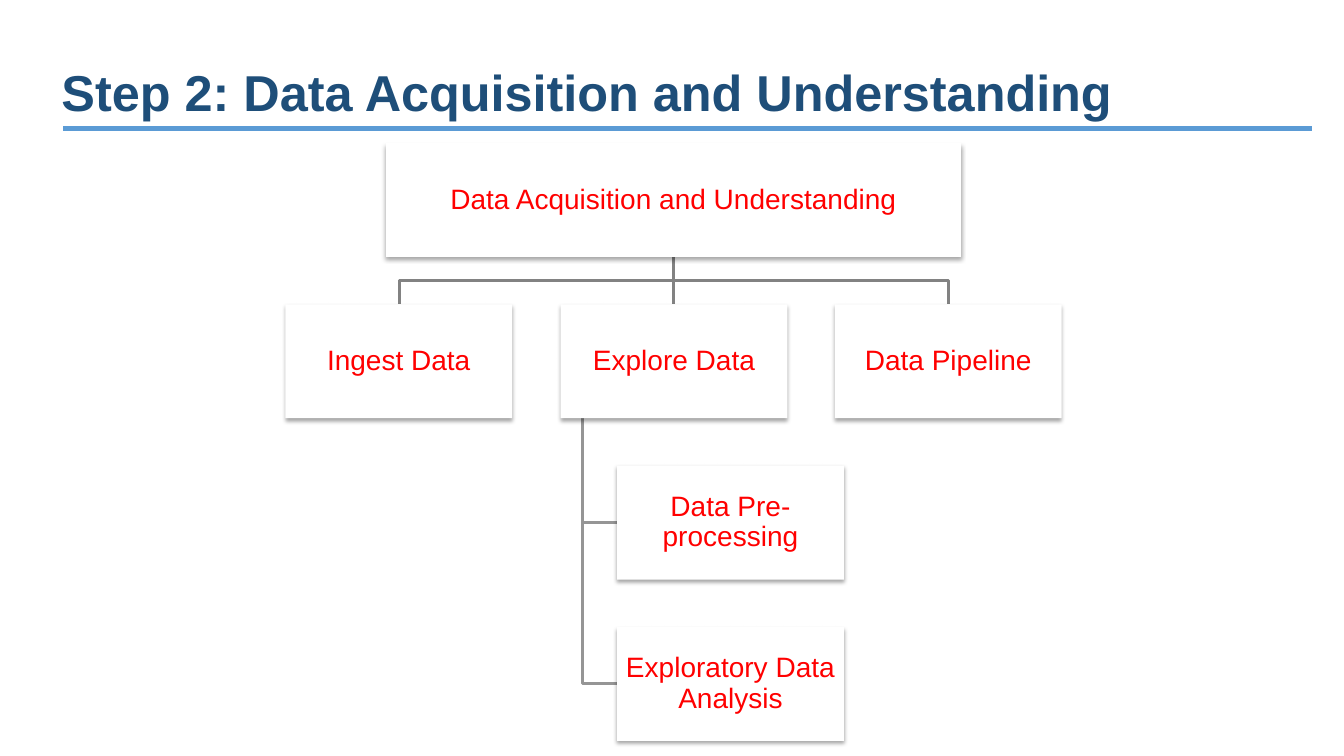
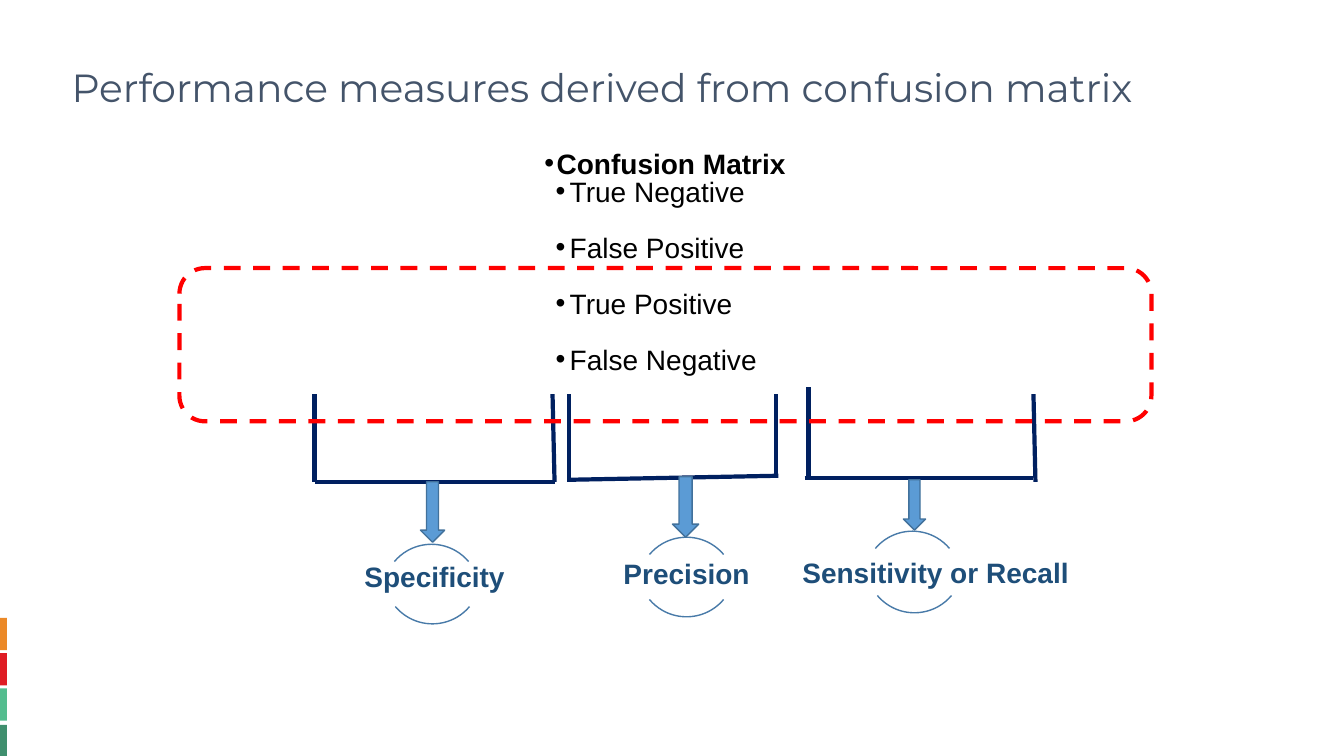
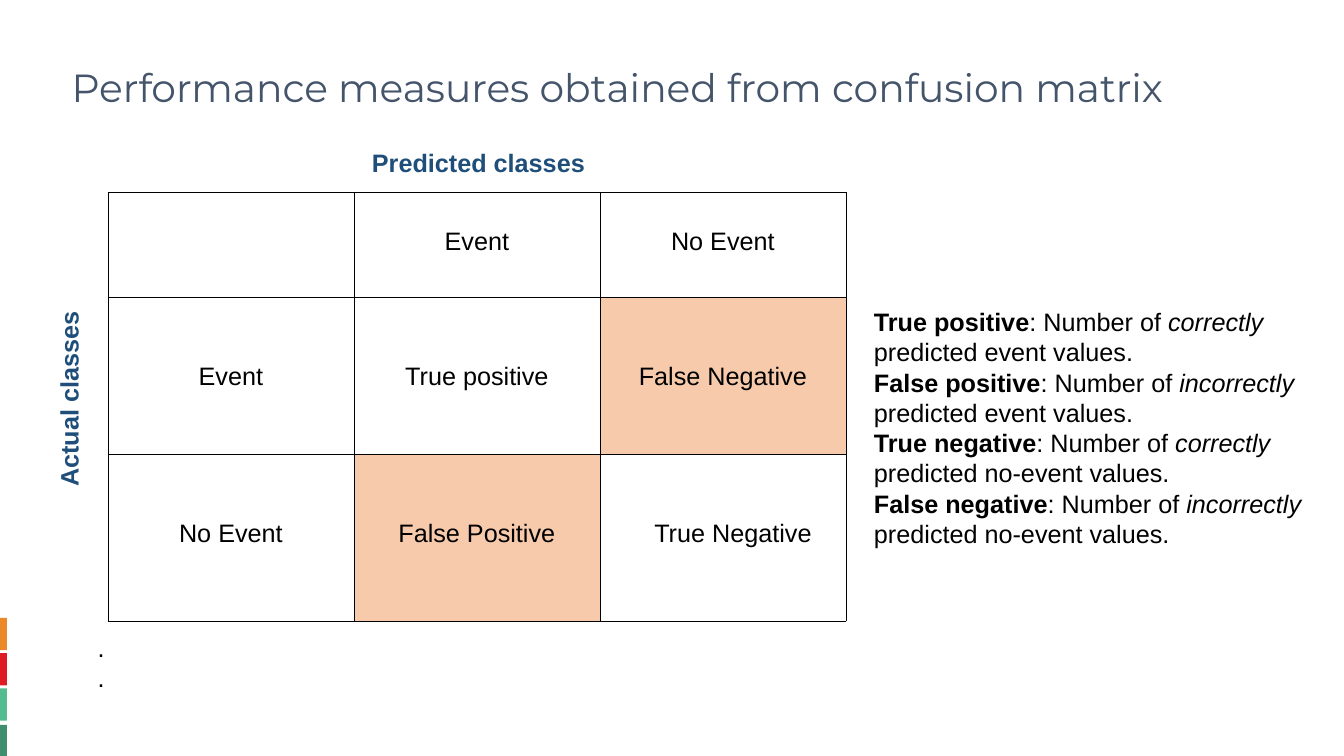
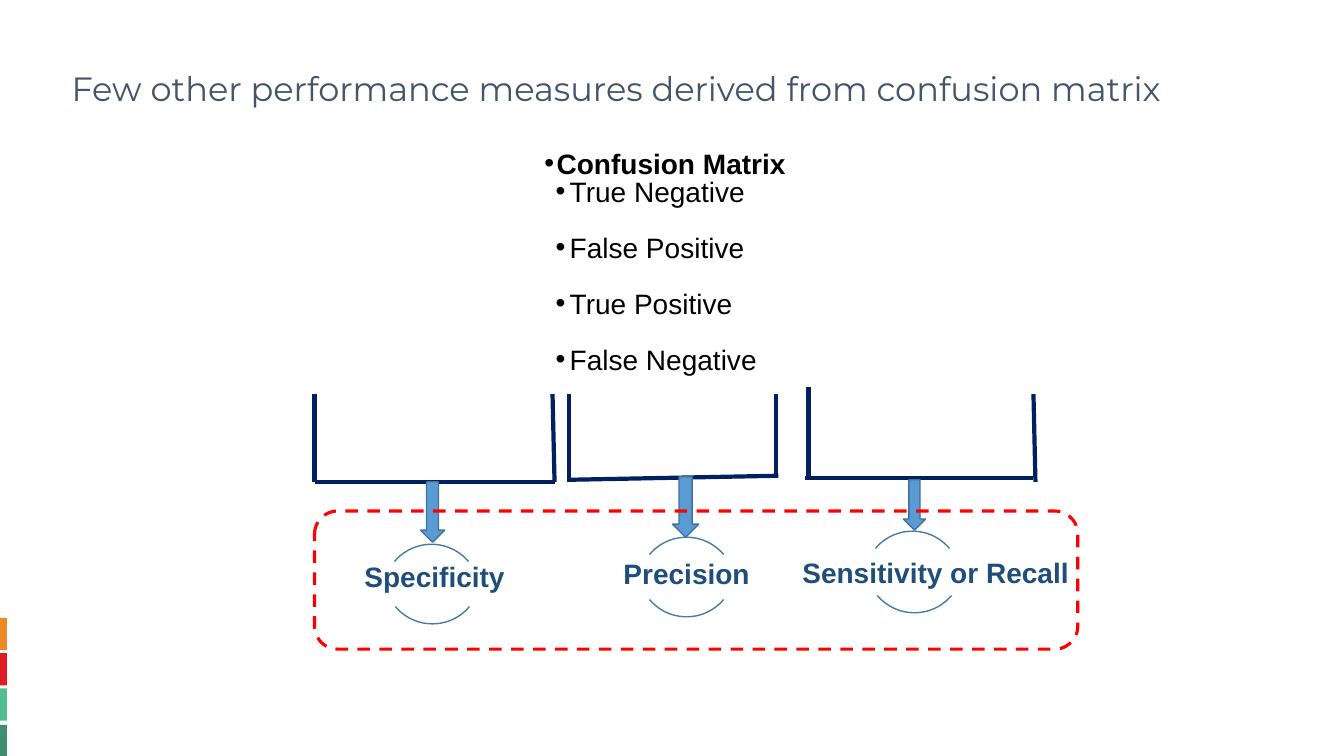
from dataclasses import dataclass
from lxml.etree import SubElement
from pptx import Presentation
from pptx.dml.color import RGBColor as RGB
from pptx.enum.dml import MSO_LINE as Dash
from pptx.enum.shapes import MSO_CONNECTOR as Wire, MSO_SHAPE as Kind
from pptx.enum.text import MSO_ANCHOR as Anchor, MSO_AUTO_SIZE as Fit, PP_ALIGN as Align
from pptx.oxml.ns import qn
from pptx.util import Pt

E = 9144  # EMU in one px, 100 px to the inch


@dataclass(frozen=True)
class Theme:
    head: str = "Montserrat"
    body: str = "Arial"
    black: str = "000000"
    white: str = "FFFFFF"
    red: str = "FF0000"
    navy: str = "1E4E79"
    slate: str = "44546A"
    blue: str = "5B9BD5"
    edge: str = "42719B"
    arc: str = "487AA8"
    ink: str = "002060"
    gray: str = "828282"
    pale: str = "959595"
    peach: str = "F7CAAC"
    bands: tuple = ("EB8928", "DF1C24", "54BD8F", "3F8F6E")
    big: int = 36
    title: int = 28
    small: int = 24
    label: int = 20
    text: int = 18


T = Theme()


def write(host, text, box=None, size=T.text, color=T.black, bold=False, font=T.body,
          align=Align.LEFT, anchor=Anchor.TOP, inset=(10, 5), space=None, levels=None):
    """Fill a shape or cell; a paragraph is a string or a list of (words, style)."""
    frame = host.text_frame
    if box:
        host.left, host.top, host.width, host.height = [v * E for v in box]
        frame.auto_size, frame.word_wrap = Fit.NONE, True
        frame.vertical_anchor = anchor
        frame.margin_left = frame.margin_right = inset[0] * E
        frame.margin_top = frame.margin_bottom = inset[1] * E
    for i, part in enumerate([text] if isinstance(text, str) else text):
        para = frame.paragraphs[0] if i == 0 else frame.add_paragraph()
        para.alignment = align
        if space:
            para.line_spacing = space
        if levels:
            level = para.level = levels[i]
            para.space_before = Pt((0, 2)[i] if i < 2 else 22)
            props = para._p.get_or_add_pPr()
            props.set("marL", str((12, 25)[level] * E))
            props.set("indent", str((-12, -14)[level] * E))
            SubElement(props, qn("a:buFont"), typeface=T.body)
            SubElement(props, qn("a:buChar"), char="•")
        for words, style in [(part, "")] if isinstance(part, str) else part:
            run = para.add_run()
            run.text = words
            face = run.font
            face.name, face.size, face.color.rgb = font, Pt(size), RGB.from_string(color)
            face.bold, face.italic = bold or style == "b", style == "i"


def draw(add, kind=None, box=(), fill=None, line=None, width=1, dash=None, shade=False):
    """Add a shape, connector or freeform and set its fill, line and shadow."""
    shape = add(kind, *[v * E for v in box]) if box else add()
    if fill:
        shape.fill.solid()
        shape.fill.fore_color.rgb = RGB.from_string(fill)
    elif hasattr(shape, "fill"):
        shape.fill.background()
    if line:
        shape.line.color.rgb = RGB.from_string(line)
        shape.line.width = Pt(width)
        if dash:
            shape.line.dash_style = dash
    else:
        shape.line.fill.background()
    effects = SubElement(shape.element.spPr, qn("a:effectLst"))
    if shade:
        glow = SubElement(effects, qn("a:outerShdw"), blurRad="39370", dist="22860",
                          dir="5400000", rotWithShape="0")
        tint = SubElement(glow, qn("a:srgbClr"), val=T.black)
        SubElement(tint, qn("a:alpha"), val="35000")
    return shape


deck = Presentation()
deck.slide_width, deck.slide_height = 1333 * E, 750 * E
LIST, BARE = deck.slide_layouts[1], deck.slide_layouts[5]

# Slide 1: title and rule
slide = deck.slides.add_slide(BARE)
shapes = slide.shapes
draw(shapes.add_shape, Kind.RECTANGLE, (61, 124, 1242, 7), T.blue, T.white, 2)
write(shapes.title, "Step 2: Data Acquisition and Understanding", (51, 56, 1075, 71),
      size=T.big, color=T.navy, bold=True)

# Tree lines
for color, points in (
    (T.gray, [(668, 254), (668, 278), (941, 278), (941, 302)]),
    (T.gray, [(668, 254), (668, 278), (396, 278), (396, 302)]),
    (T.pale, [(578, 414), (578, 678), (612, 678)]),
    (T.pale, [(578, 414), (578, 518), (612, 518)]),
):
    free = shapes.build_freeform(*points[0], scale=E)
    free.add_line_segments(points[1:], close=False)
    draw(free.convert_to_shape, line=color, width=2)
draw(shapes.add_connector, Wire.STRAIGHT, (668, 254, 668, 302), line=T.gray, width=2)

# Tree boxes: left, row, width, label
for left, row, wide, label in (
    (383, 0, 570, "Data Acquisition and Understanding"),
    (283, 1, 225, "Ingest Data"),
    (556, 1, 225, "Explore Data"),
    (828, 1, 225, "Data Pipeline"),
    (612, 2, 225, "Data Pre-processing"),
    (612, 3, 225, "Exploratory Data Analysis"),
):
    box = (left, 142 + 160 * row, wide, 113)
    node = draw(shapes.add_shape, Kind.RECTANGLE, box, T.white, shade=True)
    write(node, label, box, size=T.label, color=T.red, align=Align.CENTER,
          anchor=Anchor.MIDDLE, inset=(1, 1), space=0.9)

# Slides 2 to 4: title and side bands
pages = []
for layout, size, title in (
    (LIST, T.title, "Performance measures derived from confusion matrix"),
    (BARE, T.title, "Performance measures obtained from confusion matrix"),
    (LIST, T.small, "Few other performance measures derived from confusion matrix"),
):
    slide = deck.slides.add_slide(layout)
    pages.append(slide)
    for i, color in enumerate(T.bands):
        draw(slide.shapes.add_shape, Kind.RECTANGLE, (0, 613 + 35 * i + i // 3, 7, 32), color)
    write(slide.shapes.title, title, (61, 17, 1150, 145), size=size, color=T.slate,
          font=T.head, anchor=Anchor.MIDDLE, space=0.9)

# Slides 2 and 4: list, brackets, arrows, measures and dashed frame
terms = [[("Confusion Matrix", "b")], "True Negative", "False Positive",
         "True Positive", "False Negative"]
# label, label box, bracket lines, arrow, upper arc, lower arc
parts = (
    ("Specificity", (335, 543, 192, 61),
     ((312, 391, 312, 478), (548, 391, 550, 478), (312, 478, 550, 478)),
     (417, 478, 24, 60), (380, 540), (381, 523)),
    ("Precision", (585, 540, 192, 61),
     ((564, 391, 564, 478), (770, 391, 770, 474), (564, 476, 772, 472)),
     (667, 473, 26, 60), (633, 533), (633, 516)),
    ("Sensitivity or Recall", (752, 539, 352, 61),
     ((802, 384, 802, 472), (1025, 391, 1027, 478), (798, 474, 1025, 474)),
     (896, 476, 22, 50), (857, 527), (859, 512)),
)
for slide, frame, width in ((pages[0], (178, 266, 964, 152), 3),
                            (pages[2], (312, 507, 757, 137), 2.25)):
    shapes = slide.shapes
    write(slide.placeholders[1], terms, (540, 153, 300, 230), size=T.label,
          inset=(0, 0), space=0.75, levels=(0, 1, 1, 1, 1))
    for label, box, lines, arrow, upper, lower in parts:
        for ends in lines:
            draw(shapes.add_connector, Wire.STRAIGHT, ends, line=T.ink, width=3)
        for spot, start, stop in ((upper, 132, 192), (lower, 24, 84)):
            arc = draw(shapes.add_shape, Kind.ARC, (*spot, 96, 96), line=T.arc)
            arc.adjustments[0], arc.adjustments[1] = start, stop
        write(shapes.add_textbox(0, 0, 0, 0), label, box, size=T.label, color=T.navy,
              bold=True, align=Align.CENTER, anchor=Anchor.MIDDLE, inset=(1, 1), space=0.9)
        draw(shapes.add_shape, Kind.DOWN_ARROW, arrow, T.blue, T.edge)
    draw(shapes.add_shape, Kind.ROUNDED_RECTANGLE, frame, line=T.red, width=width,
         dash=Dash.DASH)

# Slide 3: matrix table
shapes = pages[1].shapes
grid = shapes.add_table(3, 3, 107 * E, 191 * E, 732 * E, 425 * E).table
grid.first_row = grid.horz_banding = False
for col in grid.columns:
    col.width = 244 * E
rows = (
    (104, 35, ("", "Event", "No Event")),
    (156, 65, ("Event", "True positive", "False Negative")),
    (165, 65, ("No Event", "False Positive", "True Negative")),
)
for r, (high, top, words) in enumerate(rows):
    grid.rows[r].height = high * E
    for c, word in enumerate(words):
        cell = grid.cell(r, c)
        cell.margin_top = top * E
        cell.margin_left = (30 if word == "True Negative" else 10) * E
        for side in "LRTB":
            edge = SubElement(cell._tc.get_or_add_tcPr(), qn("a:ln" + side), w="6350")
            SubElement(SubElement(edge, qn("a:solidFill")), qn("a:srgbClr"), val=T.black)
        cell.fill.solid()
        cell.fill.fore_color.rgb = RGB.from_string(T.peach if "False" in word else T.white)
        if word:
            write(cell, word, align=Align.CENTER)

# Axis labels, dots and definitions
for label, box, turn in (("Actual classes", (-29, 376, 194, 40), 270),
                         ("Predicted classes", (354, 141, 241, 40), 0)):
    axis = shapes.add_textbox(0, 0, 0, 0)
    write(axis, label, box, color=T.navy, bold=True, align=Align.CENTER)
    axis.rotation = turn
write(shapes.add_textbox(0, 0, 0, 0), [".", "."], (87, 622, 863, 71))
notes = [
    [(name, "b"), (": Number of ", ""), (how, "i"), (f" predicted {kind} values.", "")]
    for name, how, kind in (
        ("True positive", "correctly", "event"),
        ("False positive", "incorrectly", "event"),
        ("True negative", "correctly", "no-event"),
        ("False negative", "incorrectly", "no-event"),
    )
]
write(shapes.add_textbox(0, 0, 0, 0), notes, (857, 299, 446, 252))

deck.save("out.pptx")
